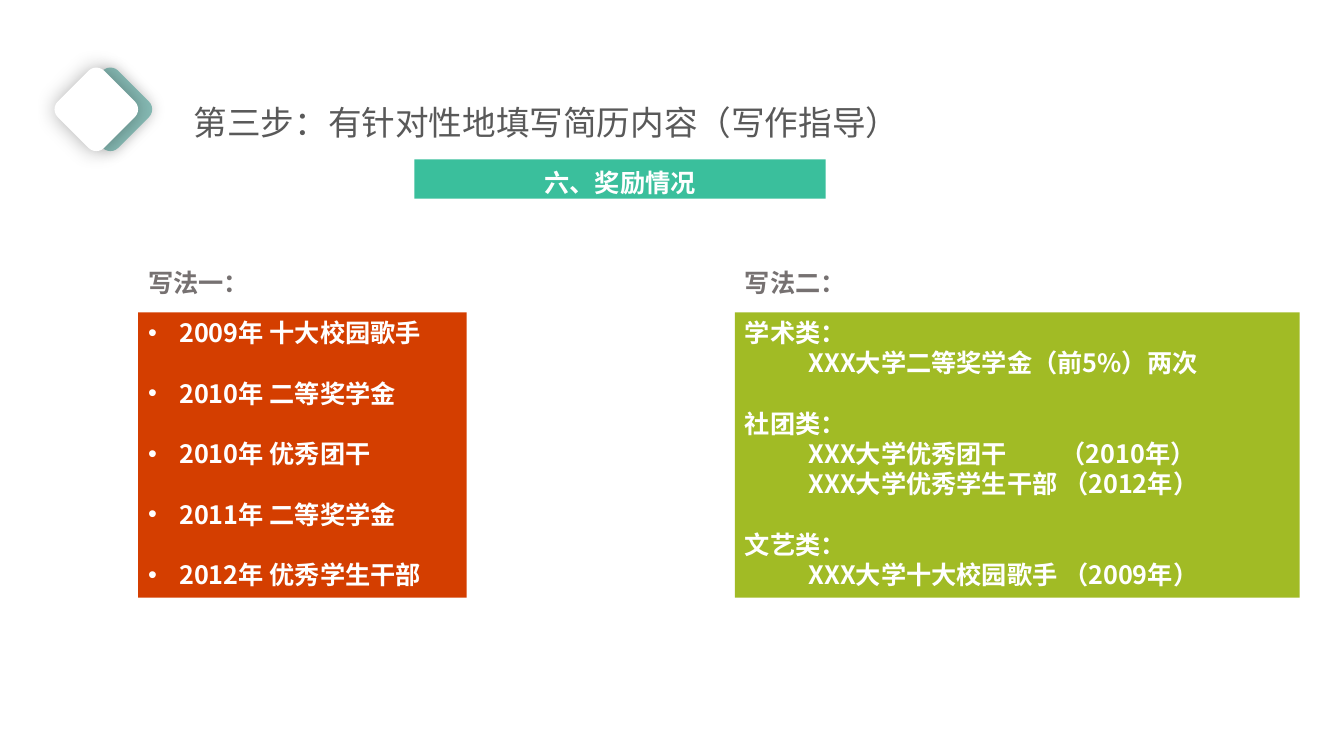
from lxml.etree import SubElement
from pptx import Presentation
from pptx.dml.color import RGBColor as Color
from pptx.enum.shapes import MSO_SHAPE as Shape
from pptx.enum.text import MSO_ANCHOR as Anchor, PP_ALIGN as Align
from pptx.oxml.ns import qn
from pptx.util import Inches, Pt

COLORS = {
    "title": "595959", "heading": "767171", "white": "FFFFFF", "black": "000000",
    "pale_teal": "86BAB4", "teal": "3ABF9C", "red": "D43E00", "green": "A1BB25",
}
CJK = "Noto Sans CJK SC"
BLANK_LINE = 21.6
AWARDS = [
    "2009年 十大校园歌手", "2010年 二等奖学金", "2010年 优秀团干",
    "2011年 二等奖学金", "2012年 优秀学生干部",
]
CATEGORIES = [
    ("学术类：", ["XXX大学二等奖学金（前5%）两次"]),
    ("社团类：", ["XXX大学优秀团干\t（2010年）", "XXX大学优秀学生干部 （2012年）"]),
    ("文艺类：", ["XXX大学十大校园歌手 （2009年）"]),
]


class ResumePage:
    """Holds the slide and its text style, and adds each kind of element."""

    def __init__(self, deck):
        self.page = deck.slides.add_slide(deck.slide_layouts[5])

    def style(self, para, color, size=18, bold=True, latin=CJK):
        for span in para.runs:
            font = span.font
            font.size, font.bold, font.name = Pt(size), bold, latin
            font.color.rgb = Color.from_string(COLORS[color])
            SubElement(font._element, qn("a:ea"), typeface=CJK)

    def title(self, text, left, top, width, height):
        box = self.page.shapes.title
        box.left, box.top = Inches(left), Inches(top)
        box.width, box.height = Inches(width), Inches(height)
        frame = box.text_frame
        frame.text, frame.vertical_anchor = text, Anchor.TOP
        para = frame.paragraphs[0]
        para.alignment, para.line_spacing = Align.LEFT, 1.5
        self.style(para, "title", 24, False, "Calibri")

    def block(self, kind, fill, left, top, width, height):
        box = self.page.shapes.add_shape(
            kind, Inches(left), Inches(top), Inches(width), Inches(height))
        box.shadow.inherit = False
        box.fill.solid()
        box.fill.fore_color.rgb = Color.from_string(COLORS[fill])
        box.line.fill.background()
        return box

    def diamond(self, left, fill, opacity, blur):
        box = self.block(Shape.ROUNDED_RECTANGLE, fill, left, 0.76, 0.65, 0.65)
        box.rotation = 45
        effects = box._element.spPr.find(qn("a:effectLst"))
        shadow = SubElement(effects, qn("a:outerShdw"), blurRad=str(Pt(blur)),
                            algn="ctr", rotWithShape="0")
        tint = SubElement(shadow, qn("a:srgbClr"), val=COLORS["black"])
        SubElement(tint, qn("a:alpha"), val=str(opacity * 1000))

    def banner(self, text, left, top, width, height):
        box = self.block(Shape.RECTANGLE, "teal", left, top, width, height)
        frame = box.text_frame
        frame.text, frame.word_wrap = text, False
        frame.vertical_anchor = Anchor.MIDDLE
        para = frame.paragraphs[0]
        para.alignment, para.line_spacing = Align.CENTER, 1.2
        self.style(para, "white")

    def heading(self, text, left):
        box = self.page.shapes.add_textbox(
            Inches(left), Inches(2.54), Inches(2.74), Inches(0.41))
        frame = box.text_frame
        frame.text, frame.word_wrap = text, True
        frame.paragraphs[0].line_spacing = 1.2
        self.style(frame.paragraphs[0], "heading")

    def panel(self, fill, left, width):
        frame = self.block(Shape.RECTANGLE, fill, left, 3.1, width, 2.83).text_frame
        frame.word_wrap, frame.vertical_anchor = True, Anchor.TOP
        return frame

    def line(self, frame, text, gap=False, bullet=False, tabs=()):
        first = frame.paragraphs[0]
        para = frame.add_paragraph() if first.runs else first
        para.text, para.alignment = text, Align.LEFT
        props = para._p.get_or_add_pPr()
        if bullet:
            props.set("marL", str(Inches(0.31)))
            props.set("indent", str(-Inches(0.31)))
            SubElement(props, qn("a:buFont"), typeface="Arial")
            SubElement(props, qn("a:buChar"), char="•")
        if tabs:
            stops = SubElement(props, qn("a:tabLst"))
            for stop in tabs:
                SubElement(stops, qn("a:tab"), pos=str(Inches(stop)), algn="l")
        if gap:
            para.space_before = Pt(BLANK_LINE)
        self.style(para, "white")


def main():
    deck = Presentation()
    deck.slide_width, deck.slide_height = Inches(13.33), Inches(7.5)
    resume = ResumePage(deck)
    resume.title("第三步：有针对性地填写简历内容（写作指导）", 1.82, 0.76, 8.93, 0.71)
    resume.diamond(0.77, "pale_teal", 20, 10)
    resume.diamond(0.63, "white", 30, 15)
    resume.banner("六、奖励情况", 4.11, 1.58, 4.08, 0.39)

    awards = resume.panel("red", 1.37, 3.26)
    for index, award in enumerate(AWARDS):
        resume.line(awards, award, gap=index > 0, bullet=True)

    groups = resume.panel("green", 7.29, 5.6)
    for index, (category, items) in enumerate(CATEGORIES):
        resume.line(groups, category, gap=index > 0)
        for item in items:
            resume.line(groups, "\t" + item, tabs=(0.63, 3.13))

    resume.heading("写法一：", 1.37)
    resume.heading("写法二：", 7.29)
    deck.save("out.pptx")


if __name__ == "__main__":
    main()
